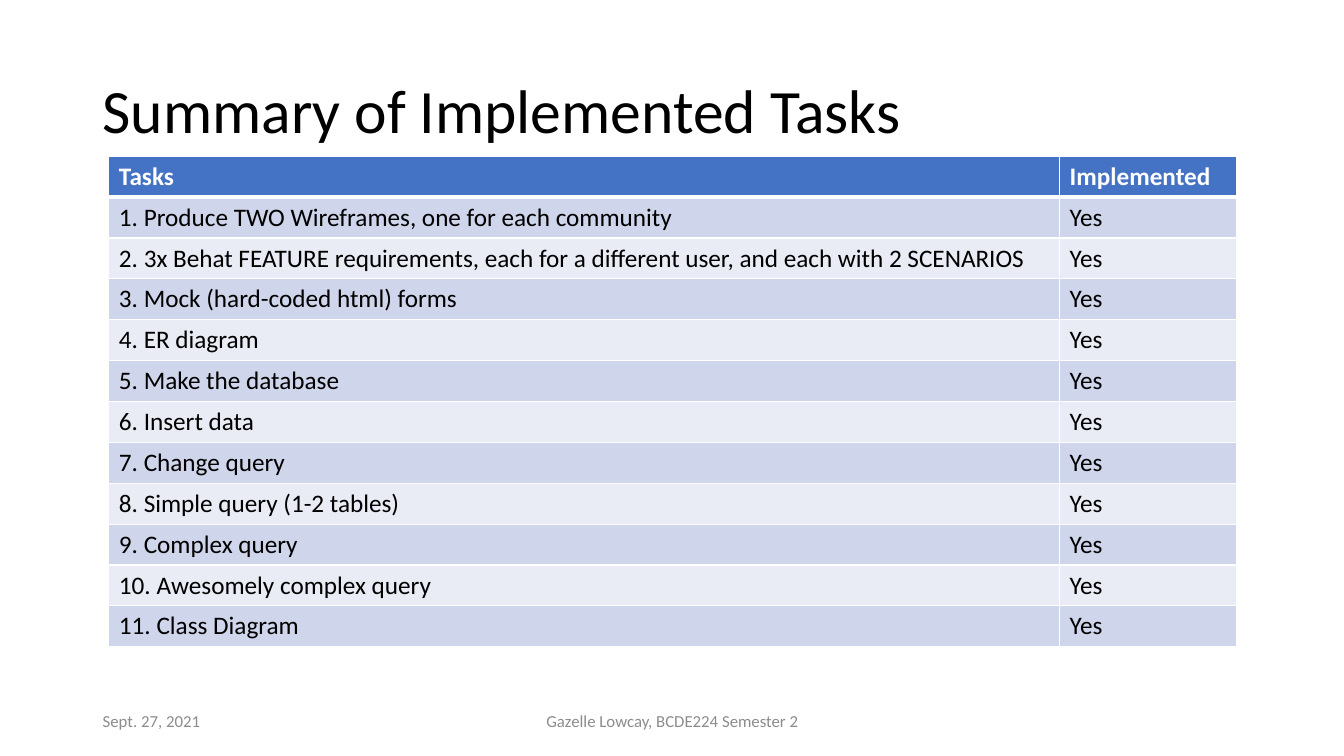
from lxml import etree
from pptx import Presentation
from pptx.dml.color import RGBColor
from pptx.enum.text import MSO_ANCHOR, PP_ALIGN
from pptx.oxml.ns import qn
from pptx.util import Inches, Pt

LEFT, CENTER = PP_ALIGN.LEFT, PP_ALIGN.CENTER
MIDDLE = MSO_ANCHOR.MIDDLE

FONT = "Calibri"
BLACK = RGBColor(0x00, 0x00, 0x00)
WHITE = RGBColor(0xFF, 0xFF, 0xFF)
GRAY = RGBColor(0x8C, 0x8C, 0x8C)
HEADER_BLUE = RGBColor(0x44, 0x72, 0xC4)
DARK_BAND = RGBColor(0xCF, 0xD5, 0xEA)
LIGHT_BAND = RGBColor(0xE9, 0xEB, 0xF5)

TASKS = [
    "Produce TWO Wireframes, one for each community",
    "3x Behat FEATURE requirements, each for a different user, and each with 2 SCENARIOS",
    "Mock (hard-coded html) forms",
    "ER diagram",
    "Make the database",
    "Insert data",
    "Change query",
    "Simple query (1-2 tables)",
    "Complex query",
    "Awesomely complex query",
    "Class Diagram",
]


def format_text(paragraph, size, color, bold=False):
    for run in paragraph.runs:
        run.font.name = FONT
        run.font.size = Pt(size)
        run.font.bold = bold
        run.font.color.rgb = color


def set_border(cell, side, width):
    properties = cell._tc.get_or_add_tcPr()
    line = etree.SubElement(properties, qn(f"a:ln{side}"), w=str(Pt(width)))
    fill = etree.SubElement(line, qn("a:solidFill"))
    etree.SubElement(fill, qn("a:srgbClr"), val=str(WHITE))


presentation = Presentation()
presentation.slide_width = Inches(13.33)
presentation.slide_height = Inches(7.5)
slide = presentation.slides.add_slide(presentation.slide_layouts[6])

# Title and footer texts
texts = [
    ("Summary of Implemented Tasks", 0.92, 0.4, 11.5, 1.45, 44, BLACK, LEFT, 0.9),
    ("Sept. 27, 2021", 0.92, 6.95, 3, 0.4, 12, GRAY, LEFT, 1.0),
    ("Gazelle Lowcay, BCDE224 Semester 2", 4.42, 6.95, 4.5, 0.4, 12, GRAY, CENTER, 1.0),
]
for text, left, top, width, height, size, color, alignment, spacing in texts:
    box = slide.shapes.add_textbox(Inches(left), Inches(top), Inches(width), Inches(height))
    text_frame = box.text_frame
    text_frame.word_wrap = True
    text_frame.vertical_anchor = MIDDLE
    text_frame.text = text
    paragraph = text_frame.paragraphs[0]
    paragraph.alignment = alignment
    paragraph.line_spacing = spacing
    format_text(paragraph, size, color)

# Task table
rows = [("Tasks", "Implemented")]
rows += [(f"{number}. {task}", "Yes") for number, task in enumerate(TASKS, start=1)]
table = slide.shapes.add_table(
    len(rows), 2, Inches(1.08), Inches(1.55), Inches(11.18), Inches(4.87)
).table
table.columns[0].width = Inches(9.43)
table.columns[1].width = Inches(1.75)

for row_index, row in enumerate(rows):
    is_header = row_index == 0
    if is_header:
        fill_color = HEADER_BLUE
    else:
        fill_color = DARK_BAND if row_index % 2 else LIGHT_BAND
    for column_index, text in enumerate(row):
        cell = table.cell(row_index, column_index)
        cell.text_frame.text = text
        format_text(cell.text_frame.paragraphs[0], 18, WHITE if is_header else BLACK, is_header)
        # Thick rule between the header and the first task
        set_border(cell, "L", 1)
        set_border(cell, "R", 1)
        set_border(cell, "T", 3 if row_index == 1 else 1)
        set_border(cell, "B", 3 if is_header else 1)
        cell.fill.solid()
        cell.fill.fore_color.rgb = fill_color

presentation.save("out.pptx")
